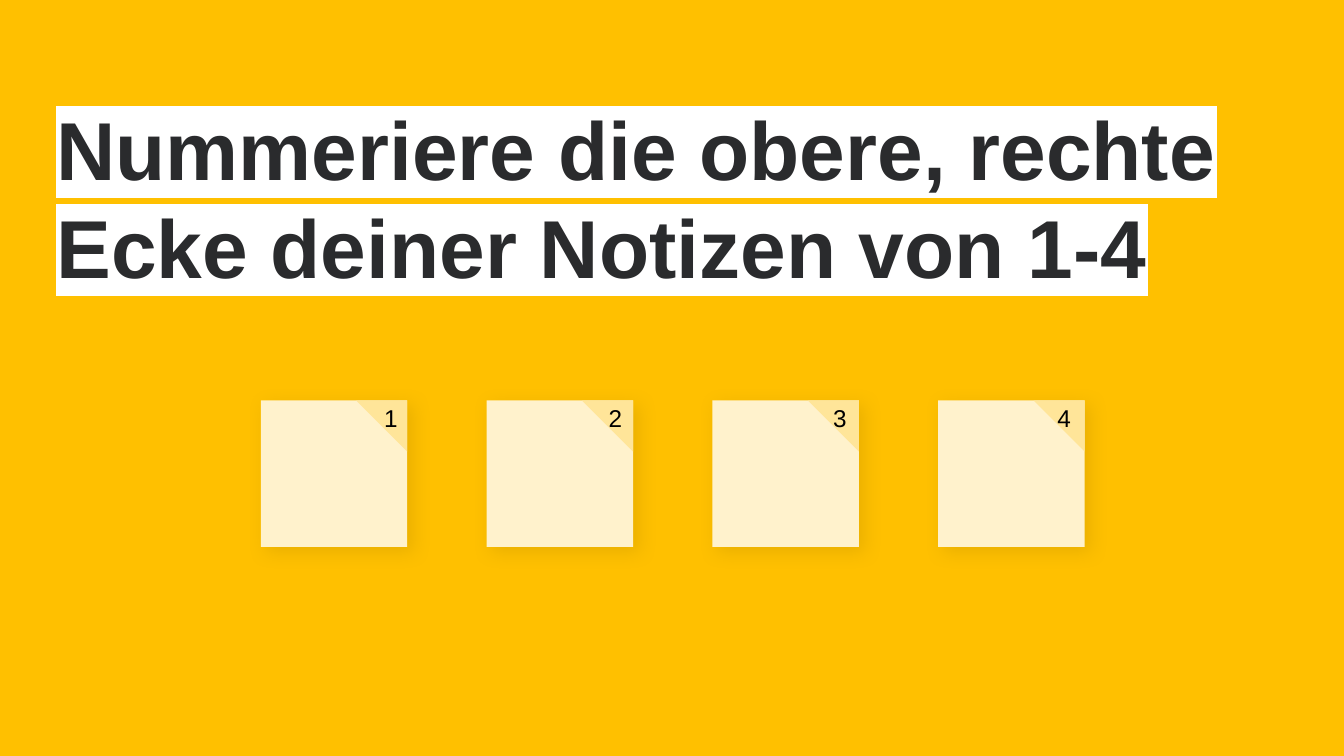
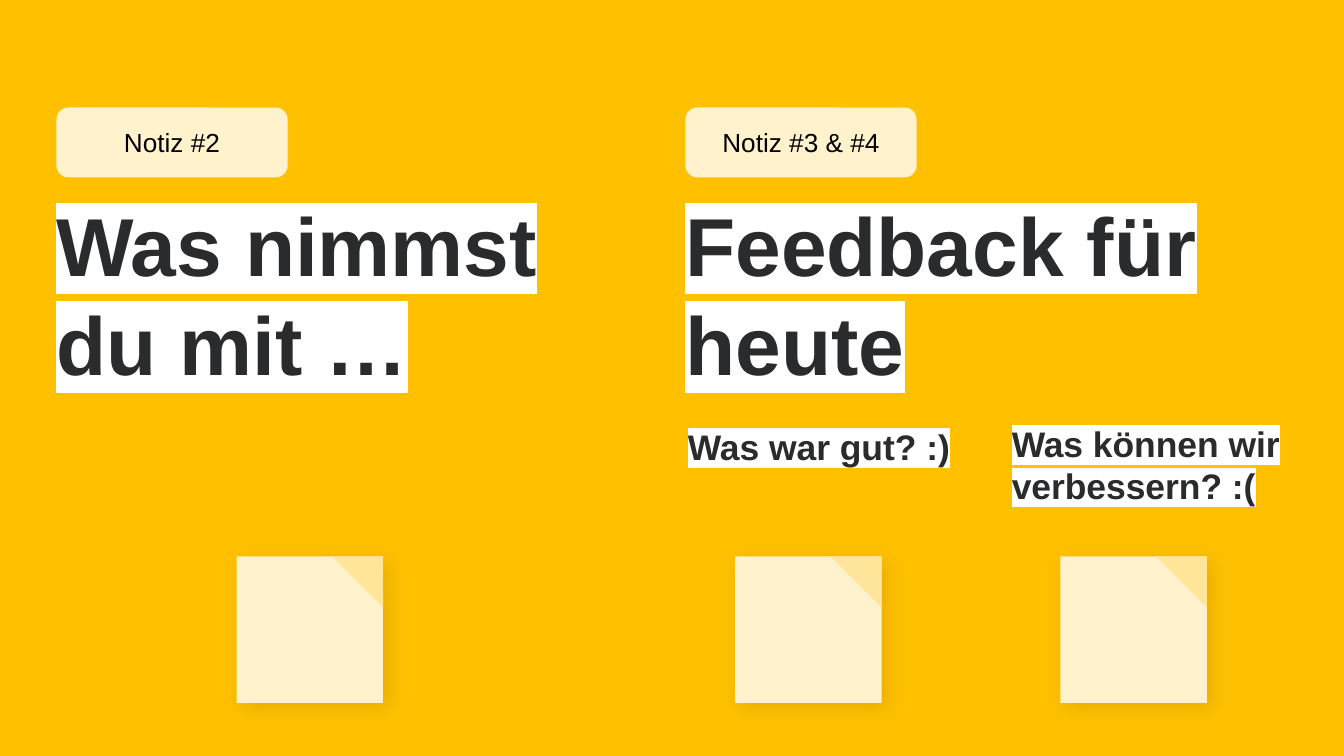
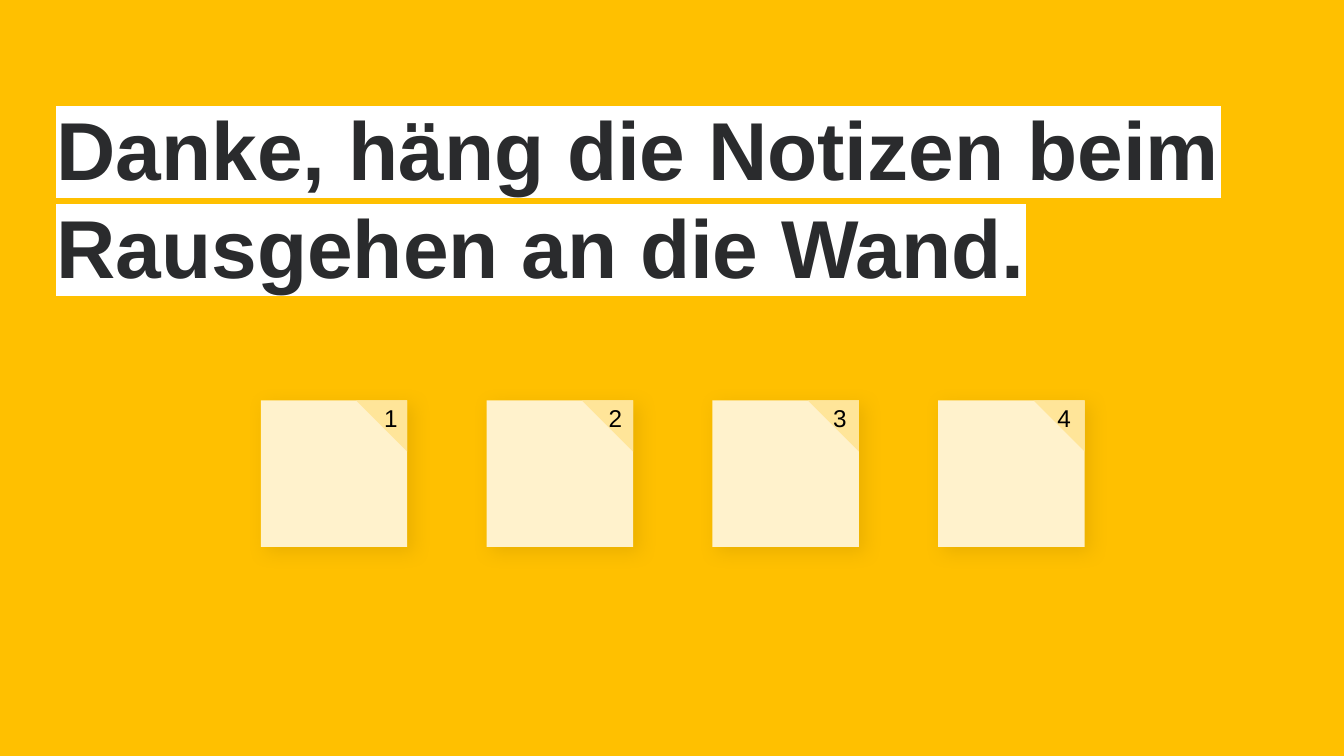
from dataclasses import dataclass

from lxml.etree import SubElement
from pptx import Presentation
from pptx.dml.color import RGBColor
from pptx.enum.shapes import MSO_SHAPE
from pptx.enum.text import MSO_ANCHOR, MSO_AUTO_SIZE, PP_ALIGN
from pptx.oxml.ns import qn
from pptx.presentation import Presentation as Deck
from pptx.shapes.autoshape import Shape
from pptx.slide import Slide
from pptx.text.text import TextFrame
from pptx.util import Inches, Pt


# Colours, type sizes and spacing
@dataclass(frozen=True)
class Theme:
    font: str = "Arial"
    background: str = "FFC000"
    ink: str = "2A2B2D"
    black: str = "000000"
    marker: str = "FFFFFF"
    paper: str = "FFF2CC"
    fold: str = "FFE599"
    shadow: str = "7F6000"
    headline_size: int = 44
    caption_size: int = 19
    badge_size: int = 14
    number_size: int = 13
    line_spacing: float = 1.0


@dataclass(frozen=True)
class Box:
    left: float
    top: float
    width: float
    height: float

    def lengths(self) -> tuple[int, int, int, int]:
        return (Inches(self.left), Inches(self.top),
                Inches(self.width), Inches(self.height))


@dataclass(frozen=True)
class TextStyle:
    size: int
    color: str
    bold: bool = False
    marked: bool = False
    inset: float = 0.1
    align: PP_ALIGN = PP_ALIGN.LEFT
    anchor: MSO_ANCHOR = MSO_ANCHOR.TOP
    auto_size: MSO_AUTO_SIZE = MSO_AUTO_SIZE.NONE


@dataclass(frozen=True)
class Label:
    text: str
    box: Box


THEME = Theme()
HEADLINE = TextStyle(THEME.headline_size, THEME.ink, bold=True, marked=True, inset=0)
CAPTION = TextStyle(THEME.caption_size, THEME.ink, bold=True, marked=True,
                    auto_size=MSO_AUTO_SIZE.SHAPE_TO_FIT_TEXT)
BADGE = TextStyle(THEME.badge_size, THEME.black,
                  align=PP_ALIGN.CENTER, anchor=MSO_ANCHOR.MIDDLE)
NUMBER = TextStyle(THEME.number_size, THEME.black)

NOTE_SIZE = 1.09
FOLD_SIZE = 0.38
TITLE_ONLY = 5

# Numbered row of notes
ROW_LEFT, ROW_TOP, ROW_STEP = 1.94, 2.98, 1.68
NUMBER_LEFT, NUMBER_TOP, NUMBER_STEP, NUMBER_BOX = 2.76, 2.9, 1.67, 0.36
WIDE_HEADLINE = Box(0.42, 0.73, 8.94, 1.88)

# Question slide
COLUMN_HEADLINES = (
    Label("Was nimmst du mit …", Box(0.42, 1.45, 3.96, 4.17)),
    Label("Feedback für heute", Box(5.1, 1.45, 4.57, 1.94)),
)
CAPTIONS = (
    Label("Was war gut? :)", Box(5.02, 3.06, 3.96, 0.52)),
    Label("Was können wir verbessern? :(", Box(7.43, 3.04, 2.57, 0.84)),
)
BADGES = (
    Label("Notiz #2", Box(0.42, 0.8, 1.72, 0.52)),
    Label("Notiz #3 & #4", Box(5.1, 0.8, 1.72, 0.52)),
)
QUESTION_NOTE_LEFTS = (1.76, 5.47, 7.89)
QUESTION_NOTE_TOP = 4.14


def write(frame: TextFrame, text: str, style: TextStyle) -> None:
    frame.word_wrap = True
    frame.auto_size = style.auto_size
    frame.vertical_anchor = style.anchor
    frame.margin_left = frame.margin_right = Inches(style.inset)
    frame.margin_top = frame.margin_bottom = Inches(style.inset)
    paragraph = frame.paragraphs[0]
    paragraph.alignment = style.align
    paragraph.line_spacing = THEME.line_spacing
    run = paragraph.add_run()
    run.text = text
    font = paragraph.font
    font.name, font.size, font.bold = THEME.font, Pt(style.size), style.bold
    font.color.rgb = RGBColor.from_string(style.color)
    if style.marked:
        highlight = SubElement(run.font._element, qn("a:highlight"))
        SubElement(highlight, qn("a:srgbClr"), val=THEME.marker)


def paint(shape: Shape, color: str) -> None:
    shape.shadow.inherit = False
    shape.fill.solid()
    shape.fill.fore_color.rgb = RGBColor.from_string(color)
    shape.line.fill.background()


def cast_shadow(shape: Shape) -> None:
    effects = shape._element.spPr.find(qn("a:effectLst"))
    outer = SubElement(effects, qn("a:outerShdw"), blurRad=str(Pt(10.1)),
                       dist=str(Pt(3.8)), dir=str(43 * 60000),
                       algn="bl", rotWithShape="0")
    tint = SubElement(outer, qn("a:srgbClr"), val=THEME.shadow)
    SubElement(tint, qn("a:alpha"), val="17000")


def add_label(slide: Slide, label: Label, style: TextStyle) -> None:
    text_box = slide.shapes.add_textbox(*label.box.lengths())
    write(text_box.text_frame, label.text, style)


def add_badge(slide: Slide, label: Label) -> None:
    badge = slide.shapes.add_shape(MSO_SHAPE.ROUNDED_RECTANGLE, *label.box.lengths())
    badge.adjustments[0] = 0.17
    paint(badge, THEME.paper)
    write(badge.text_frame, label.text, BADGE)


def add_note(slide: Slide, left: float, top: float) -> None:
    """Square sheet with its upper right corner folded."""
    note = slide.shapes.add_group_shape()
    sheet = note.shapes.add_shape(
        MSO_SHAPE.RECTANGLE, *Box(left, top, NOTE_SIZE, NOTE_SIZE).lengths())
    paint(sheet, THEME.paper)
    cast_shadow(sheet)
    corner = Box(left + NOTE_SIZE - FOLD_SIZE, top, FOLD_SIZE, FOLD_SIZE)
    fold = note.shapes.add_shape(MSO_SHAPE.RIGHT_TRIANGLE, *corner.lengths())
    fold.rotation = 180
    paint(fold, THEME.fold)


def add_titled_slide(deck: Deck, headline: Label) -> Slide:
    slide = deck.slides.add_slide(deck.slide_layouts[TITLE_ONLY])
    title = slide.shapes.title
    title.left, title.top, title.width, title.height = headline.box.lengths()
    write(title.text_frame, headline.text, HEADLINE)
    return slide


def add_numbered_slide(deck: Deck, headline: str) -> None:
    slide = add_titled_slide(deck, Label(headline, WIDE_HEADLINE))
    for index in range(4):
        add_note(slide, ROW_LEFT + index * ROW_STEP, ROW_TOP)
    for index in range(4):
        place = Box(NUMBER_LEFT + index * NUMBER_STEP, NUMBER_TOP, NUMBER_BOX, NUMBER_BOX)
        add_label(slide, Label(str(index + 1), place), NUMBER)


def add_question_slide(deck: Deck) -> None:
    takeaway, feedback = COLUMN_HEADLINES
    slide = add_titled_slide(deck, takeaway)
    add_label(slide, feedback, HEADLINE)
    for caption in CAPTIONS:
        add_label(slide, caption, CAPTION)
    for left in QUESTION_NOTE_LEFTS:
        add_note(slide, left, QUESTION_NOTE_TOP)
    for badge in BADGES:
        add_badge(slide, badge)


def main() -> None:
    deck = Presentation()
    deck.slide_width = Inches(10)
    deck.slide_height = Inches(10) * 9 // 16

    # Shared background
    backdrop = deck.slide_master.background.fill
    backdrop.solid()
    backdrop.fore_color.rgb = RGBColor.from_string(THEME.background)

    # Slides
    add_numbered_slide(deck, "Nummeriere die obere, rechte Ecke deiner Notizen von 1-4")
    add_question_slide(deck)
    add_numbered_slide(deck, "Danke, häng die Notizen beim Rausgehen an die Wand.")
    deck.save("out.pptx")


if __name__ == "__main__":
    main()
